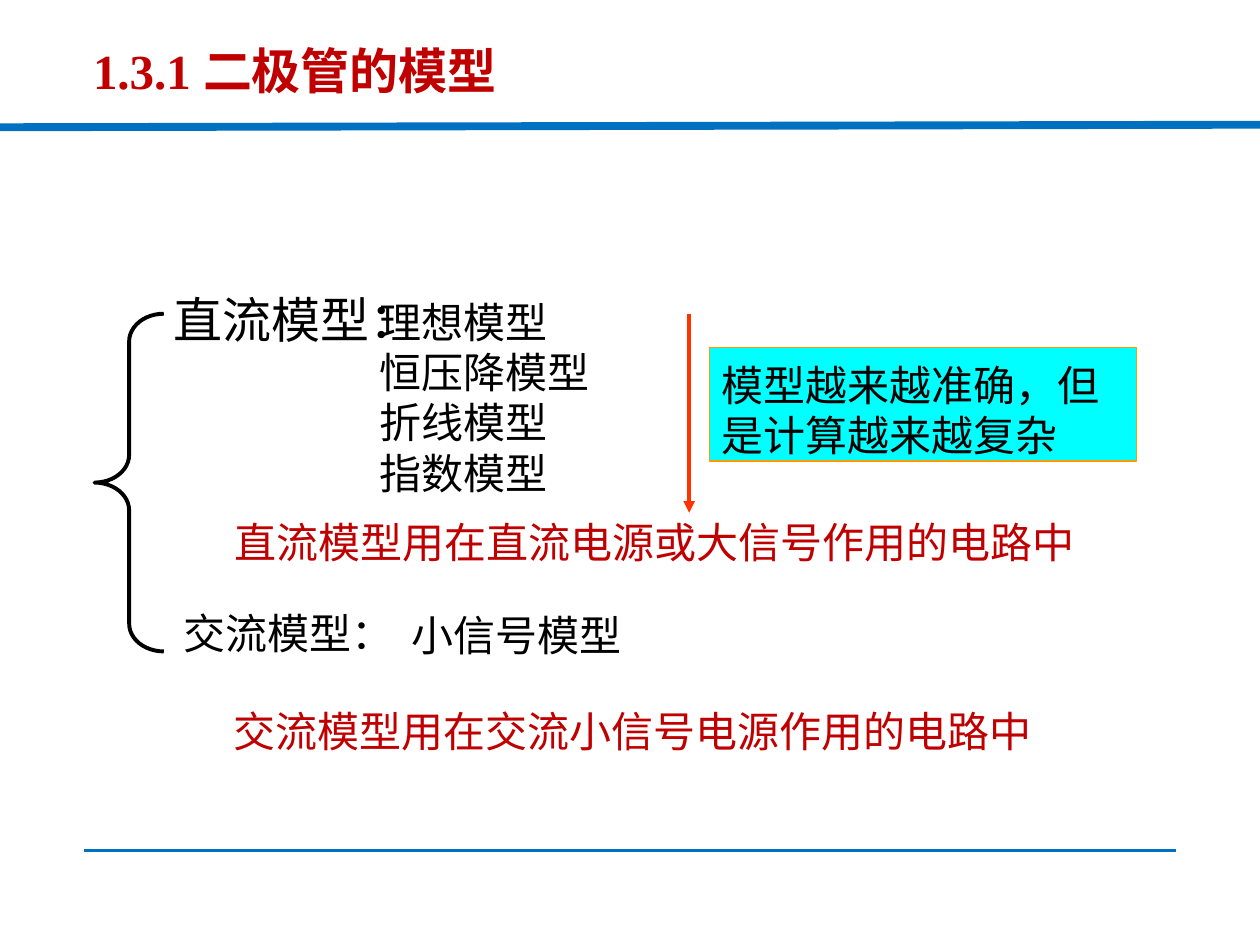
from dataclasses import dataclass

from lxml import etree
from pptx import Presentation
from pptx.dml.color import RGBColor as RGB
from pptx.enum.shapes import MSO_CONNECTOR as CONN, MSO_SHAPE as SHAPE
from pptx.oxml.ns import qn
from pptx.util import Inches, Pt


@dataclass(frozen=True)
class Theme:
    cjk: str = "Noto Sans CJK SC"
    latin: str = "Times New Roman"
    black: RGB = RGB(0, 0, 0)
    red: RGB = RGB(0xC0, 0, 0)
    blue: RGB = RGB(0, 0x70, 0xC0)
    arrow: RGB = RGB(0xFF, 0x33, 0)
    cyan: RGB = RGB(0, 0xFF, 0xFF)
    orange: RGB = RGB(0xFF, 0x99, 0)
    large: int = 28
    body: int = 24
    leading: float = 28.8


T = Theme()


def fill_text(sp, lines, size, color, latin=T.cjk, bold=False, leading=None,
              insets=(0, 0, 0, 0)):
    tf = sp.text_frame
    tf.word_wrap = True
    (tf.margin_left, tf.margin_top,
     tf.margin_right, tf.margin_bottom) = map(Inches, insets)
    for i, line in enumerate(lines):
        p = tf.add_paragraph() if i else tf.paragraphs[0]
        if leading:
            p.line_spacing = Pt(leading)
        r = p.add_run()
        r.text = line
        r.font.name, r.font.size, r.font.bold = latin, Pt(size), bold
        r.font.color.rgb = color
        # East Asian typeface
        ea = etree.SubElement(r.font._element, qn("a:ea"))
        ea.set("typeface", T.cjk)


def add_text(s, box, lines, size, color, **style):
    sp = s.shapes.add_textbox(*map(Inches, box))
    fill_text(sp, lines, size, color, **style)


def add_line(s, start, end, color, width, arrow=False):
    c = s.shapes.add_connector(CONN.STRAIGHT, *map(Inches, start + end))
    c.line.color.rgb, c.line.width = color, Pt(width)
    if arrow:
        etree.SubElement(c.line._get_or_add_ln(), qn("a:tailEnd"), type="triangle")
    etree.SubElement(c._element.spPr, qn("a:effectLst"))


def add_shape(s, kind, box, line, width, fill=None):
    sp = s.shapes.add_shape(kind, *map(Inches, box))
    sp.shadow.inherit = False
    sp.line.color.rgb, sp.line.width = line, Pt(width)
    if fill is None:
        sp.fill.background()
    else:
        sp.fill.solid()
        sp.fill.fore_color.rgb = fill
    return sp


def main():
    prs = Presentation()
    prs.slide_width, prs.slide_height = Inches(10), Inches(7.5)
    s = prs.slides.add_slide(prs.slide_layouts[6])

    # Title and rules
    add_line(s, (0.67, 6.75), (9.33, 6.75), T.blue, 1.5)
    add_line(s, (0, 1.01), (10, 0.99), T.blue, 4.5)
    add_text(s, (0.64, 0.27, 6.37, 0.66), ["1.3.1 二极管的模型"], T.large, T.red,
             latin=T.latin, bold=True, insets=(0.1, 0.05, 0.1, 0.05))

    # Brace joining the two model families
    brace = add_shape(s, SHAPE.LEFT_BRACE, (0.75, 2.49, 0.55, 2.68), T.black, 2.25)
    brace.adjustments[0] = 0.4

    # DC models
    add_text(s, (1.38, 2.3, 2.05, 0.56), ["直流模型："], T.large, T.black)
    add_text(s, (3.01, 2.35, 2.2, 1.6),
             ["理想模型", "恒压降模型", "折线模型", "指数模型"],
             T.body, T.black, leading=T.leading)
    add_text(s, (1.86, 4.1, 6.85, 0.48),
             ["直流模型用在直流电源或大信号作用的电路中"], T.body, T.red)

    # Accuracy against complexity
    add_line(s, (5.47, 2.49), (5.47, 4.07), T.arrow, 2.25, arrow=True)
    note = add_shape(s, SHAPE.RECTANGLE, (5.63, 2.76, 3.39, 0.9),
                     T.orange, 0.75, T.cyan)
    fill_text(note, ["模型越来越准确，但是计算越来越复杂"], T.body, T.black,
              leading=T.leading, insets=(0.1, 0.09, 0.1, 0.01))
    note.text_frame.paragraphs[0].alignment = 1

    # AC models
    add_text(s, (1.46, 4.82, 1.8, 0.48), ["交流模型："], T.body, T.black)
    add_text(s, (3.27, 4.84, 4.17, 0.48), ["小信号模型"], T.body, T.black)
    add_text(s, (1.85, 5.6, 6.85, 0.48),
             ["交流模型用在交流小信号电源作用的电路中"], T.body, T.red)

    prs.save("out.pptx")


if __name__ == "__main__":
    main()
